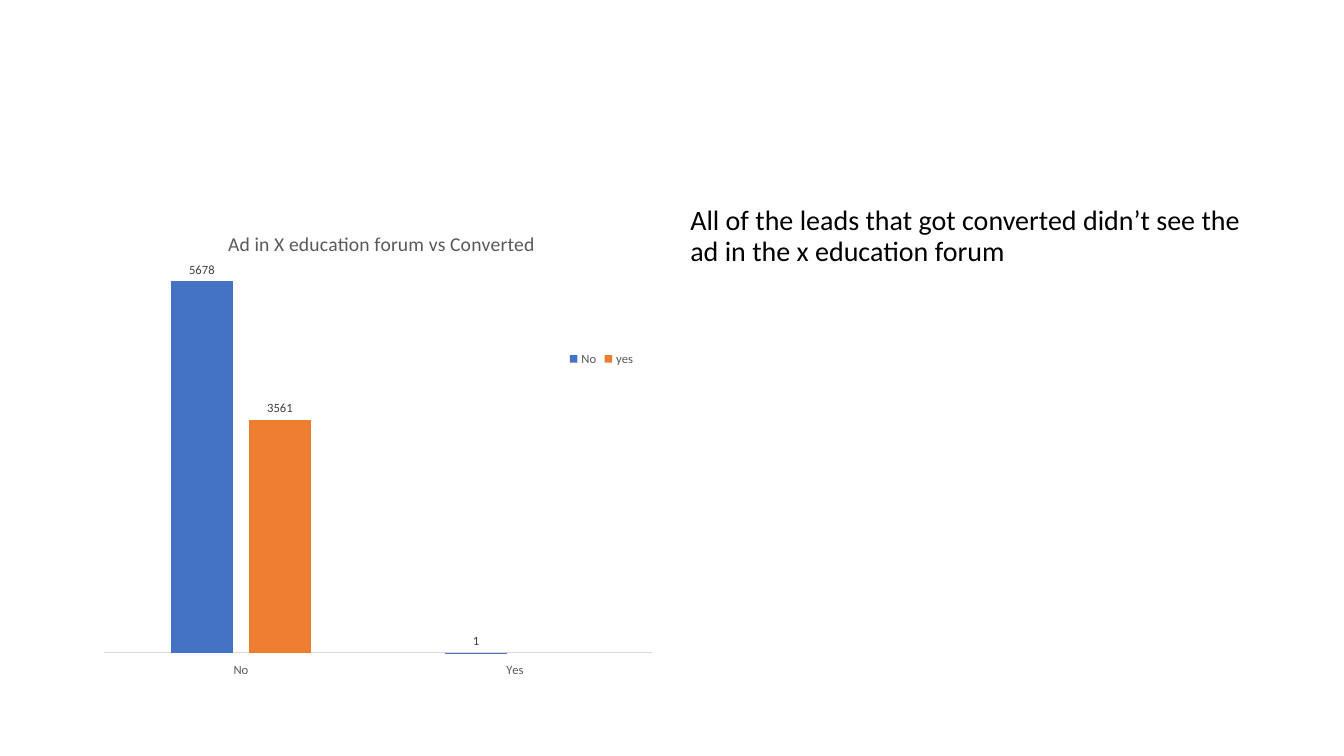
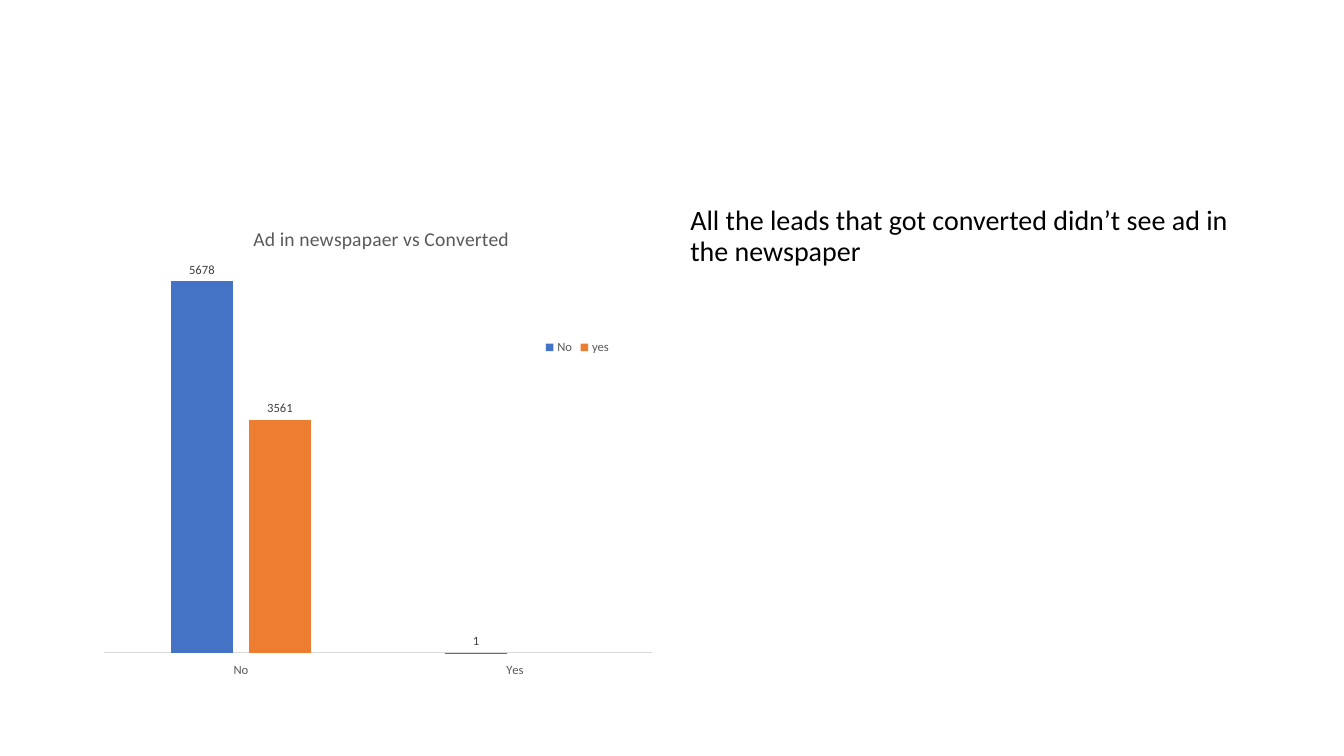
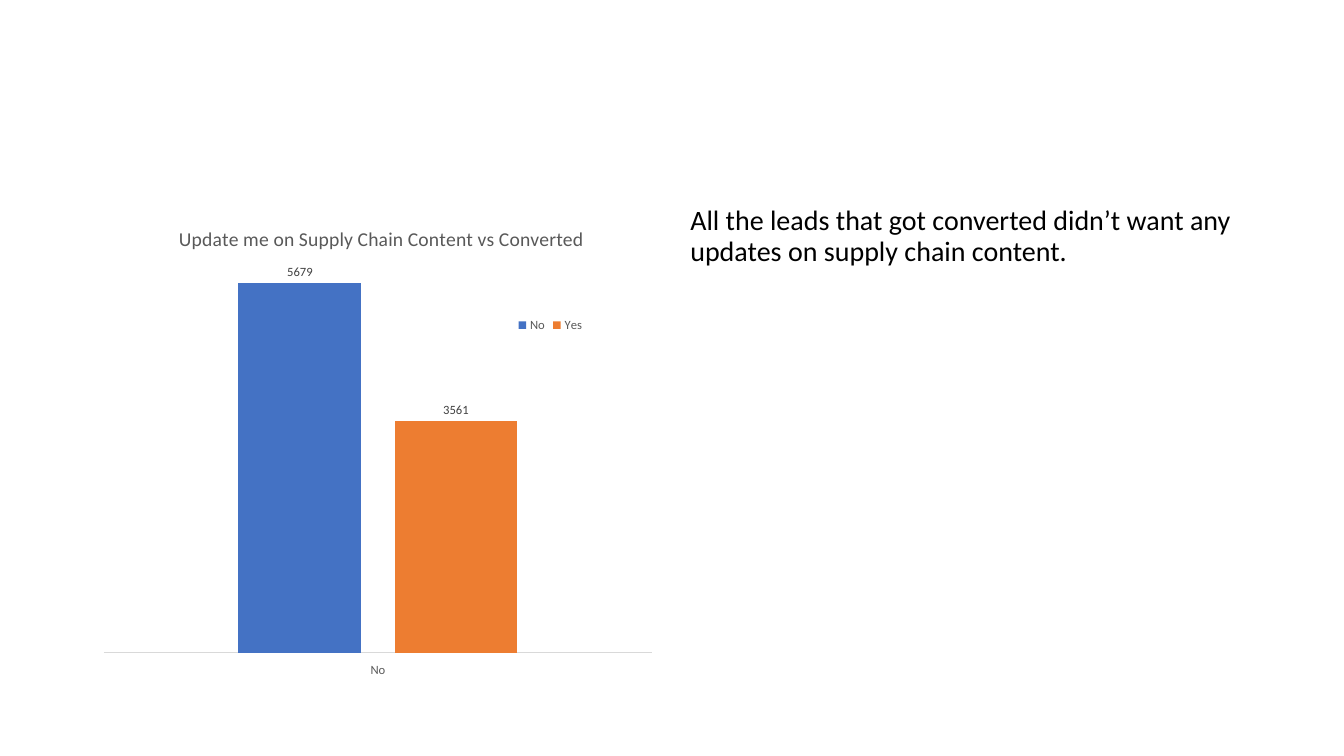
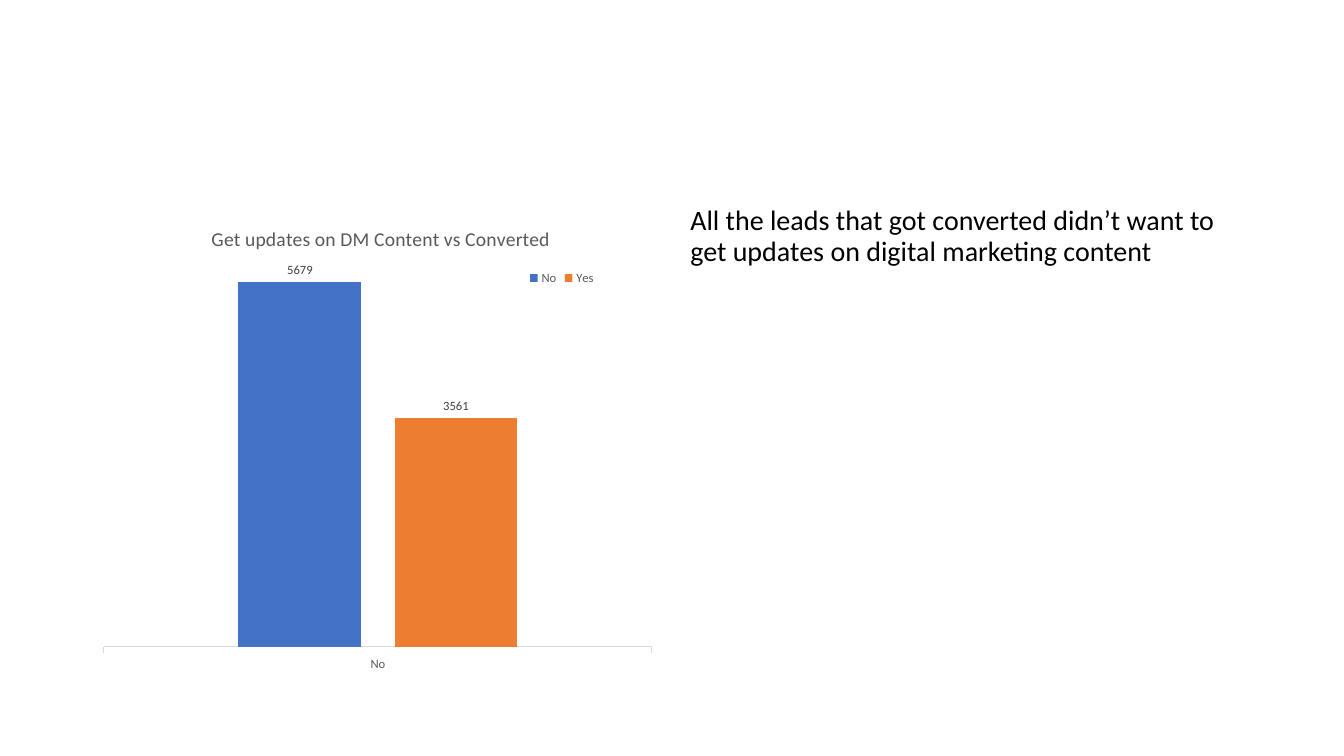
from lxml.etree import SubElement
from pptx import Presentation
from pptx.chart.data import CategoryChartData
from pptx.dml.color import RGBColor
from pptx.enum.chart import XL_CHART_TYPE as ChartType
from pptx.enum.chart import XL_LABEL_POSITION as LabelPosition
from pptx.enum.chart import XL_LEGEND_POSITION as LegendPosition
from pptx.enum.chart import XL_TICK_LABEL_POSITION as TickLabelPosition
from pptx.enum.chart import XL_TICK_MARK as TickMark
from pptx.oxml import parse_xml
from pptx.oxml.ns import nsdecls, qn
from pptx.util import Emu, Pt

BLACK = RGBColor(0x00, 0x00, 0x00)
GREY = RGBColor(0x59, 0x59, 0x59)
LABEL_GREY = RGBColor(0x40, 0x40, 0x40)
AXIS_GREY = RGBColor(0xD9, 0xD9, 0xD9)
BLUE = RGBColor(0x44, 0x72, 0xC4)
ORANGE = RGBColor(0xED, 0x7D, 0x31)
SERIES_COLORS = (BLUE, ORANGE)

FONT = "Calibri"
TEXT_FORMAT = {"name": FONT, "size": Pt(20)}
CHART_FORMAT = {"name": FONT, "size": Pt(10)}
TITLE_FORMAT = {"name": FONT, "size": Pt(14), "bold": False}
SMALL_FORMAT = {"name": FONT, "size": Pt(9)}

EMU_PER_PX = 9525
SLIDE_SIZE = (1280, 720)
CHART_BOX = (88, 192, 544, 457)
TEXT_BOX = (648, 192, 544, 457)
PLOT_LEFT, PLOT_WIDTH = 11, 522

SLIDES = [
    {
        "text": "All of the leads that got converted didn’t see the ad in the x education forum",
        "title": "Ad in X education forum vs Converted",
        "categories": ["No", "Yes"],
        "series": [("No", (5678, 1)), ("yes", (3561, None))],
        "title_at": (126, 24),
        "legend_at": (451, 139),
        "plot_span": (56, 430),
        "tick": TickMark.NONE,
    },
    {
        "text": "All the leads that got converted didn’t see ad in the newspaper",
        "title": "Ad in newspapaer vs Converted",
        "categories": ["No", "Yes"],
        "series": [("No", (5678, 1)), ("yes", (3561, None))],
        "title_at": (150, 19),
        "legend_at": (428, 128),
        "plot_span": (56, 430),
        "tick": TickMark.NONE,
    },
    {
        "text": "All the leads that got converted didn’t want any updates on supply chain content.",
        "title": "Update me on Supply Chain Content vs Converted",
        "categories": ["No"],
        "series": [("No", (5679,)), ("Yes", (3561,))],
        "title_at": (79, 19),
        "legend_at": (402, 107),
        "plot_span": (58, 430),
        "tick": TickMark.NONE,
    },
    {
        "text": "All the leads that got converted didn’t want to get updates on digital marketing content",
        "title": "Get updates on DM Content vs Converted",
        "categories": ["No"],
        "series": [("No", (5679,)), ("Yes", (3561,))],
        "title_at": (110, 19),
        "legend_at": (413, 62),
        "plot_span": (57, 424),
        "tick": TickMark.OUTSIDE,
    },
]


def px(value):
    return Emu(value * EMU_PER_PX)


def set_font(font, formats, color):
    for name, value in formats.items():
        setattr(font, name, value)
    font.color.rgb = color


def make_layout(left, top, width=None, height=None):
    layout = parse_xml(f"<c:layout {nsdecls('c')}/>")
    manual = SubElement(layout, qn("c:manualLayout"))
    values = []
    if width:
        values.append(("layoutTarget", "inner"))
    values += [("xMode", "edge"), ("yMode", "edge")]
    chart_width, chart_height = CHART_BOX[2:]
    values += [("x", left / chart_width), ("y", top / chart_height)]
    if width:
        values += [("w", width / chart_width), ("h", height / chart_height)]
    for name, value in values:
        text = value if isinstance(value, str) else f"{value:.4f}"
        SubElement(manual, qn(f"c:{name}")).set("val", text)
    return layout


def place(element, layout, previous=None):
    for old_layout in element.findall(qn("c:layout")):
        element.remove(old_layout)
    if previous:
        element.find(qn(previous)).addnext(layout)
    else:
        element.insert(0, layout)


def add_statement(slide, text):
    box = slide.shapes.add_textbox(*map(px, TEXT_BOX))
    box.text_frame.word_wrap = True
    paragraph = box.text_frame.paragraphs[0]
    paragraph.line_spacing = 0.9
    paragraph.space_before = Pt(10)
    run = paragraph.add_run()
    run.text = text
    set_font(run.font, TEXT_FORMAT, BLACK)


def format_axes(chart, tick):
    category_axis = chart.category_axis
    category_axis.major_tick_mark = tick
    category_axis.minor_tick_mark = TickMark.NONE
    category_axis.tick_label_position = TickLabelPosition.LOW
    category_axis.format.line.color.rgb = AXIS_GREY
    category_axis.format.line.width = Pt(0.75)
    set_font(category_axis.tick_labels.font, SMALL_FORMAT, GREY)
    value_axis = chart.value_axis
    axis_format = {
        "visible": False,
        "has_major_gridlines": False,
        "minimum_scale": 0,
        "maximum_scale": 6000,
    }
    for name, value in axis_format.items():
        setattr(value_axis, name, value)


def format_series(plot):
    plot.gap_width = 219
    plot.overlap = -27
    plot.vary_by_categories = False
    for series, color in zip(plot.series, SERIES_COLORS):
        series.format.fill.solid()
        series.format.fill.fore_color.rgb = color
        series.invert_if_negative = False
        labels = series.data_labels
        labels.show_value = True
        labels.position = LabelPosition.OUTSIDE_END
        set_font(labels.font, SMALL_FORMAT, LABEL_GREY)


def add_conversion_chart(slide, content):
    data = CategoryChartData()
    data.categories = content["categories"]
    for name, values in content["series"]:
        data.add_series(name, values)
    frame = slide.shapes.add_chart(
        ChartType.COLUMN_CLUSTERED, *map(px, CHART_BOX), data
    )
    chart = frame.chart
    set_font(chart.font, CHART_FORMAT, BLACK)
    format_axes(chart, content["tick"])
    format_series(chart.plots[0])

    chart.has_title = True
    title = chart.chart_title
    title.text_frame.text = content["title"]
    set_font(title.text_frame.paragraphs[0].runs[0].font, TITLE_FORMAT, GREY)
    title.include_in_layout = False

    chart.has_legend = True
    legend = chart.legend
    legend.position = LegendPosition.BOTTOM
    legend.include_in_layout = True
    set_font(legend.font, SMALL_FORMAT, GREY)

    top, bottom = content["plot_span"]
    plot_area = chart.element.find(f".//{qn('c:plotArea')}")
    title_element = chart.element.find(f".//{qn('c:title')}")
    legend_element = chart.element.find(f".//{qn('c:legend')}")
    place(plot_area, make_layout(PLOT_LEFT, top, PLOT_WIDTH, bottom - top))
    place(title_element, make_layout(*content["title_at"]), "c:tx")
    place(legend_element, make_layout(*content["legend_at"]), "c:legendPos")


def main():
    presentation = Presentation()
    presentation.slide_width, presentation.slide_height = map(px, SLIDE_SIZE)
    blank_layout = presentation.slide_layouts[6]
    for content in SLIDES:
        slide = presentation.slides.add_slide(blank_layout)
        add_statement(slide, content["text"])
        add_conversion_chart(slide, content)
    presentation.save("out.pptx")


if __name__ == "__main__":
    main()
